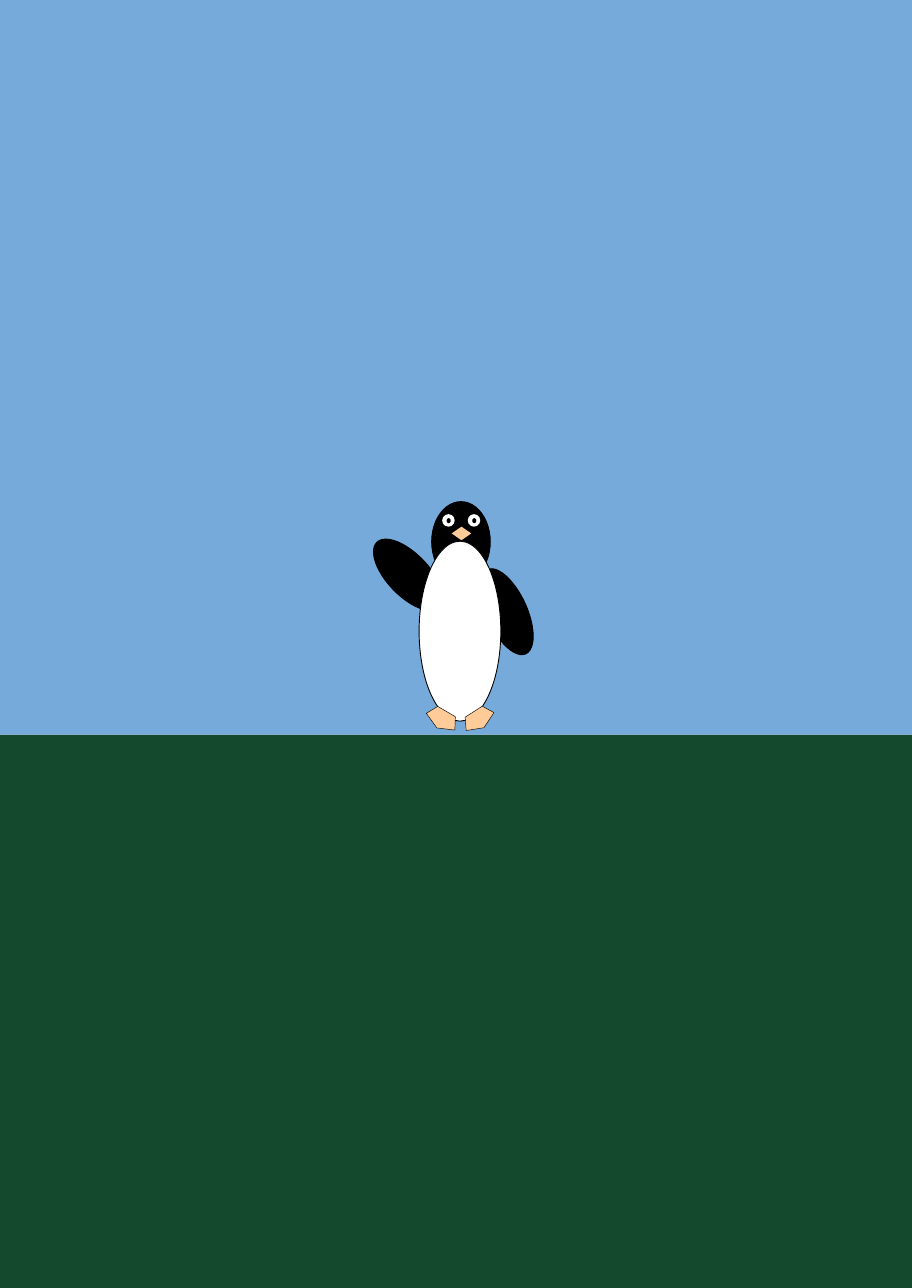
from pptx import Presentation
from pptx.dml.color import RGBColor
from pptx.enum.shapes import MSO_SHAPE
from pptx.util import Cm, Pt

COLOURS = {
    "sky": "75AADB",
    "ground": "15492E",
    "black": "000000",
    "white": "FFFFFF",
    "orange": "FFCC99",
}
PAGE_WIDTH, PAGE_HEIGHT = 18.19, 25.7
HORIZON = 14.66


def add_part(parent, kind, box, colour, outline=None, rotation=0):
    """Add a filled shape; box is in centimetres, outline is a black line in points."""
    part = parent.shapes.add_shape(kind, *[Cm(length) for length in box])
    part.shadow.inherit = False
    part.rotation = rotation
    part.fill.solid()
    part.fill.fore_color.rgb = RGBColor.from_string(COLOURS[colour])
    if outline:
        part.line.color.rgb = RGBColor.from_string(COLOURS["black"])
        part.line.width = Pt(outline)
    else:
        part.line.fill.background()


def add_landscape(page):
    ground = (0, HORIZON, PAGE_WIDTH, PAGE_HEIGHT - HORIZON)
    add_part(page, MSO_SHAPE.RECTANGLE, ground, "ground")
    add_part(page, MSO_SHAPE.RECTANGLE, (0, 0, PAGE_WIDTH, HORIZON), "sky")


def add_eye(penguin, left, top):
    add_part(penguin, MSO_SHAPE.OVAL, (left, top, 0.25, 0.25), "white")
    add_part(penguin, MSO_SHAPE.OVAL, (left + 0.09, top + 0.08, 0.08, 0.1), "black")


def add_foot(penguin, left, rotation):
    box = (left, 14.17, 0.66, 0.38)
    add_part(penguin, MSO_SHAPE.REGULAR_PENTAGON, box, "orange", 0.25, rotation)


def add_penguin(page):
    penguin = page.shapes.add_group_shape()
    head = (8.61, 10.01, 1.17, 1.6)
    raised_wing = (7.72, 10.57, 0.84, 1.8)
    lowered_wing = (9.7, 11.28, 0.81, 1.85)
    belly = (8.36, 10.8, 1.63, 3.59)
    add_part(penguin, MSO_SHAPE.OVAL, head, "black", 0.5)
    add_part(penguin, MSO_SHAPE.OVAL, raised_wing, "black", 0.5, 136.3)
    add_part(penguin, MSO_SHAPE.OVAL, lowered_wing, "black", 0.5, 335.5)
    add_part(penguin, MSO_SHAPE.OVAL, belly, "white", 0.5)
    for left in (8.82, 9.33):
        add_eye(penguin, left, 10.26)
    for left, rotation in ((8.48, 210.4), (9.22, 147.2)):
        add_foot(penguin, left, rotation)
    add_part(penguin, MSO_SHAPE.DIAMOND, (9.01, 10.51, 0.39, 0.27), "orange")


def main():
    deck = Presentation()
    deck.slide_width, deck.slide_height = Cm(PAGE_WIDTH), Cm(PAGE_HEIGHT)
    page = deck.slides.add_slide(deck.slide_layouts[6])
    add_landscape(page)
    add_penguin(page)
    deck.save("out.pptx")


if __name__ == "__main__":
    main()
